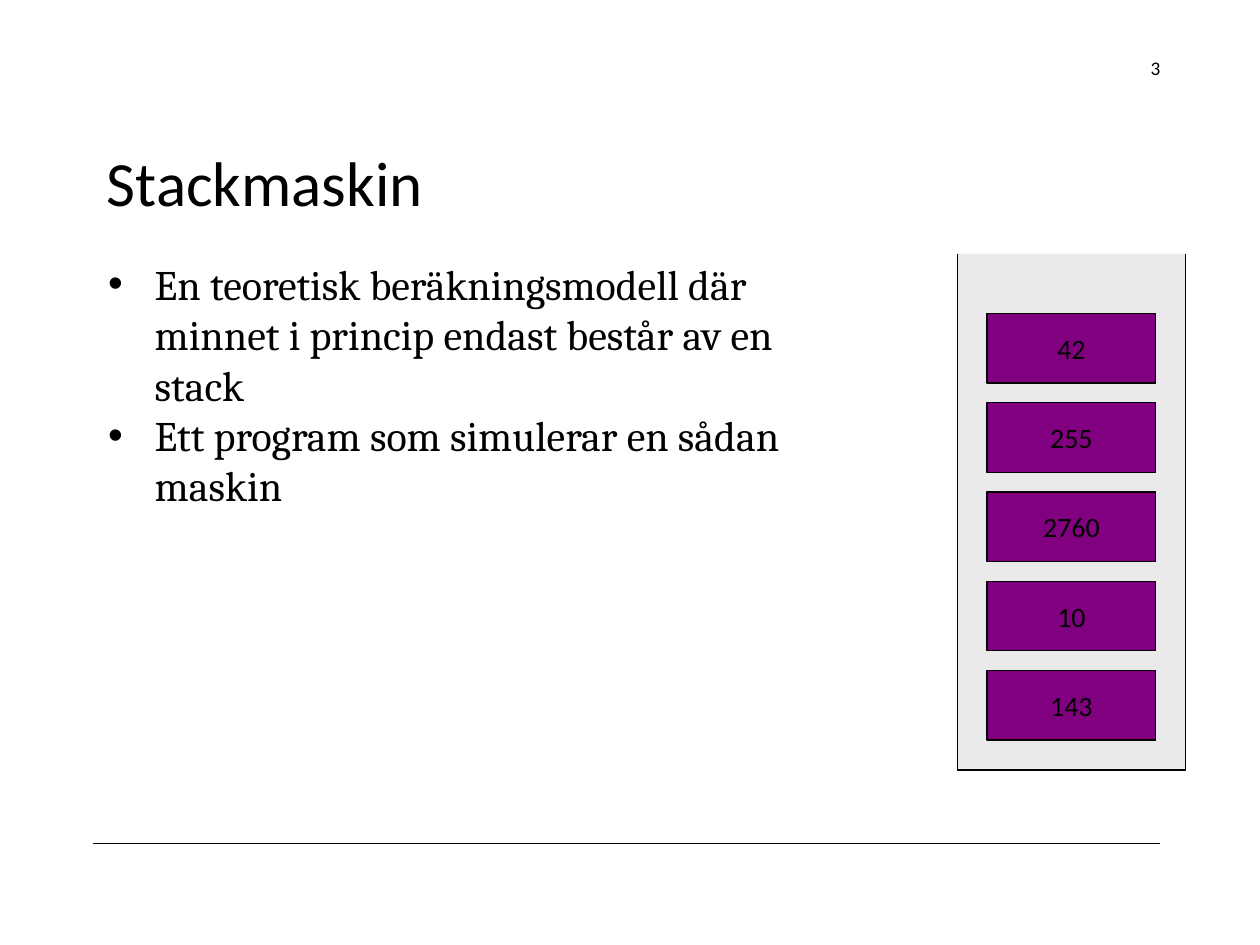
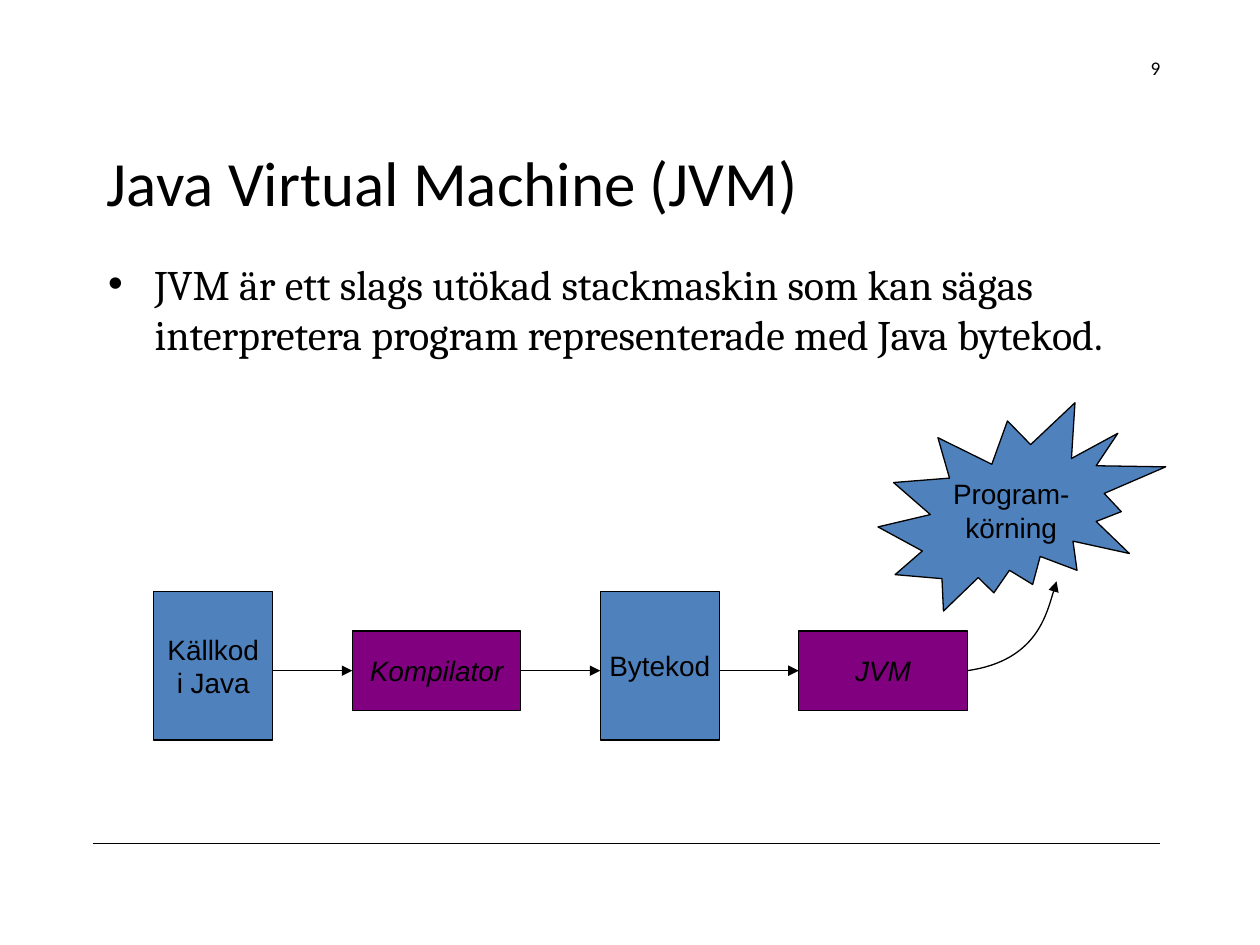
from dataclasses import dataclass

from lxml.etree import SubElement
from pptx import Presentation
from pptx.dml.color import RGBColor
from pptx.enum.shapes import MSO_CONNECTOR, MSO_SHAPE
from pptx.enum.text import MSO_ANCHOR, MSO_AUTO_SIZE, PP_ALIGN
from pptx.oxml.ns import qn
from pptx.util import Inches, Pt

COLORS = {"ink": "000000", "well": "EAEAEA", "cell": "800080", "data": "4F81BD"}
SLIDE_WIDTH, SLIDE_HEIGHT = Inches(10), Inches(7.5)
COLUMNS = 63.5
LINE_WIDTH = Pt(0.75)
LEFT_SIDE, RIGHT_SIDE = 1, 3


def grid(count):
    return round(count * SLIDE_WIDTH / COLUMNS)


@dataclass
class Box:
    left: float
    top: float
    width: float
    height: float

    def inside(self, left, top, width, height):
        return Box(self.left + left, self.top + top, width, height)

    def point(self, column, row):
        return self.left + column, self.top + row

    def lengths(self):
        return [grid(n) for n in (self.left, self.top, self.width, self.height)]


TITLE = Box(4.75, 6.9, 53.75, 5.8)
NUMBER = Box(55.3, 2.55, 3.8, 1.85)
BODY = Box(4.75, 12.7, 53.75, 28.25)
NARROW_BODY = Box(4.75, 12.7, 38.85, 28.25)
RULE = Box(4.7, 42.5, 53.75, 0)
STACK = Box(48.25, 12.8, 11.5, 26)
FLOW = Box(7.75, 20.3, 51, 17)


def color(name):
    return RGBColor.from_string(COLORS[name])


def write(para, text, font, size, italic=None):
    span = para.add_run()
    span.text = text
    span.font.name = font
    span.font.size = Pt(size)
    span.font.italic = italic
    span.font.color.rgb = color("ink")


def paragraphs(frame, texts):
    for index, text in enumerate(texts):
        yield frame.paragraphs[0] if index == 0 else frame.add_paragraph(), text


def move(shape, box):
    shape.left, shape.top, shape.width, shape.height = box.lengths()


def style_line(shape, arrow=False):
    shape.line.color.rgb = color("ink")
    shape.line.width = LINE_WIDTH
    if arrow:
        SubElement(shape.line._get_or_add_ln(), qn("a:tailEnd"), type="triangle")


def add_line(page, start, end, arrow=False):
    ends = [grid(n) for n in (*start, *end)]
    line = page.shapes.add_connector(MSO_CONNECTOR.STRAIGHT, *ends)
    style_line(line, arrow)
    SubElement(line._element.spPr, qn("a:effectLst"))
    return line


def add_block(page, box, fill, lines=(), font="Arial", italic=None,
              kind=MSO_SHAPE.RECTANGLE, outlined=True):
    block = page.shapes.add_shape(kind, *box.lengths())
    block.shadow.inherit = False
    block.fill.solid()
    block.fill.fore_color.rgb = color(fill)
    if outlined:
        style_line(block)
    else:
        block.line.fill.background()
    frame = block.text_frame
    frame.word_wrap = False
    frame.vertical_anchor = MSO_ANCHOR.MIDDLE
    for para, text in paragraphs(frame, lines):
        para.alignment = PP_ALIGN.CENTER
        write(para, text, font, 16, italic)
    return block


def add_page(deck, title, number, points, body_box):
    page = deck.slides.add_slide(deck.slide_layouts[1])
    add_line(page, RULE.point(0, 0), RULE.point(RULE.width, 0))

    heading = page.shapes.title
    move(heading, TITLE)
    heading.text_frame.auto_size = MSO_AUTO_SIZE.NONE
    heading.text_frame.vertical_anchor = MSO_ANCHOR.TOP
    para = heading.text_frame.paragraphs[0]
    para.alignment = PP_ALIGN.LEFT
    write(para, title, "Calibri", 36)

    label = page.shapes.add_textbox(*NUMBER.lengths())
    label.text_frame.word_wrap = True
    para = label.text_frame.paragraphs[0]
    para.alignment = PP_ALIGN.RIGHT
    write(para, number, "Calibri", 11)

    body = page.placeholders[1]
    move(body, body_box)
    body.text_frame.auto_size = MSO_AUTO_SIZE.NONE
    for para, text in paragraphs(body.text_frame, points):
        para.space_before = Pt(0)
        properties = para._p.get_or_add_pPr()
        properties.set("marL", str(Inches(0.38)))
        properties.set("indent", str(Inches(-0.37)))
        write(para, text, "Cambria", 24)
    return page


def add_stack(page, box, values):
    cell_height, pitch, margin, first_row = 3.5, 4.5, 1.5, 3
    add_block(page, box, "well", outlined=False)
    for index, value in enumerate(values):
        cell = box.inside(margin, first_row + index * pitch,
                          box.width - 2 * margin, cell_height)
        add_block(page, cell, "cell", [value], "Calibri")
    corners = [box.point(0, 0), box.point(0, box.height),
               box.point(box.width, box.height), box.point(box.width, 0)]
    for start, end in zip(corners, corners[1:]):
        add_line(page, start, end)


def add_curved_arrow(page, start, controls, end):
    points = [tuple(grid(n) for n in point) for point in (start, *controls, end)]
    builder = page.shapes.build_freeform(*points[0])
    builder.add_line_segments(points[1:], close=False)
    curve = builder.convert_to_shape()
    curve.shadow.inherit = False
    curve.fill.background()
    style_line(curve, arrow=True)
    segments = list(curve._element.iter(qn("a:lnTo")))
    bezier = SubElement(segments[0].getparent(), qn("a:cubicBezTo"))
    for segment in segments:
        bezier.append(segment[0])
        segment.getparent().remove(segment)


def add_flow(page, box, steps):
    gap, axis = 4, 13.5
    sizes = {"data": (9.5, 6, 7.5), "cell": (11.5, 8.5, 4)}
    column, edges = 0, []
    for lines, fill in steps:
        top, width, height = sizes[fill]
        is_program = fill == "cell"
        block = add_block(page, box.inside(column, top, width, height), fill,
                          lines, italic=is_program or None)
        edges.append((column, column + width, block if is_program else None))
        column += width + gap
    for (_, start, source), (end, _, target) in zip(edges, edges[1:]):
        arrow = add_line(page, box.point(start, axis), box.point(end, axis), arrow=True)
        if source:
            arrow.begin_connect(source, RIGHT_SIDE)
        if target:
            arrow.end_connect(target, LEFT_SIDE)
    add_block(page, box.inside(36.5, 0, 14.5, 10.5), "data",
              ["Program-", "körning"], kind=MSO_SHAPE.EXPLOSION2)
    tip = box.point(45.5, 9)
    add_curved_arrow(page, box.point(edges[-1][1], axis),
                     [box.point(44.6, 13), tip], tip)


def main():
    deck = Presentation()
    deck.slide_width, deck.slide_height = SLIDE_WIDTH, SLIDE_HEIGHT

    page = add_page(deck, "Stackmaskin", "3", [
        "En teoretisk beräkningsmodell där minnet i princip endast består av en stack",
        "Ett program som simulerar en sådan maskin",
    ], NARROW_BODY)
    add_stack(page, STACK, ["42", "255", "2760", "10", "143"])

    page = add_page(deck, "Java Virtual Machine (JVM)", "9", [
        "JVM är ett slags utökad stackmaskin som kan sägas interpretera program "
        "representerade med Java bytekod.",
    ], BODY)
    add_flow(page, FLOW, [
        (["Källkod", "i Java"], "data"),
        (["Kompilator"], "cell"),
        (["Bytekod"], "data"),
        (["JVM"], "cell"),
    ])

    deck.save("out.pptx")


if __name__ == "__main__":
    main()
